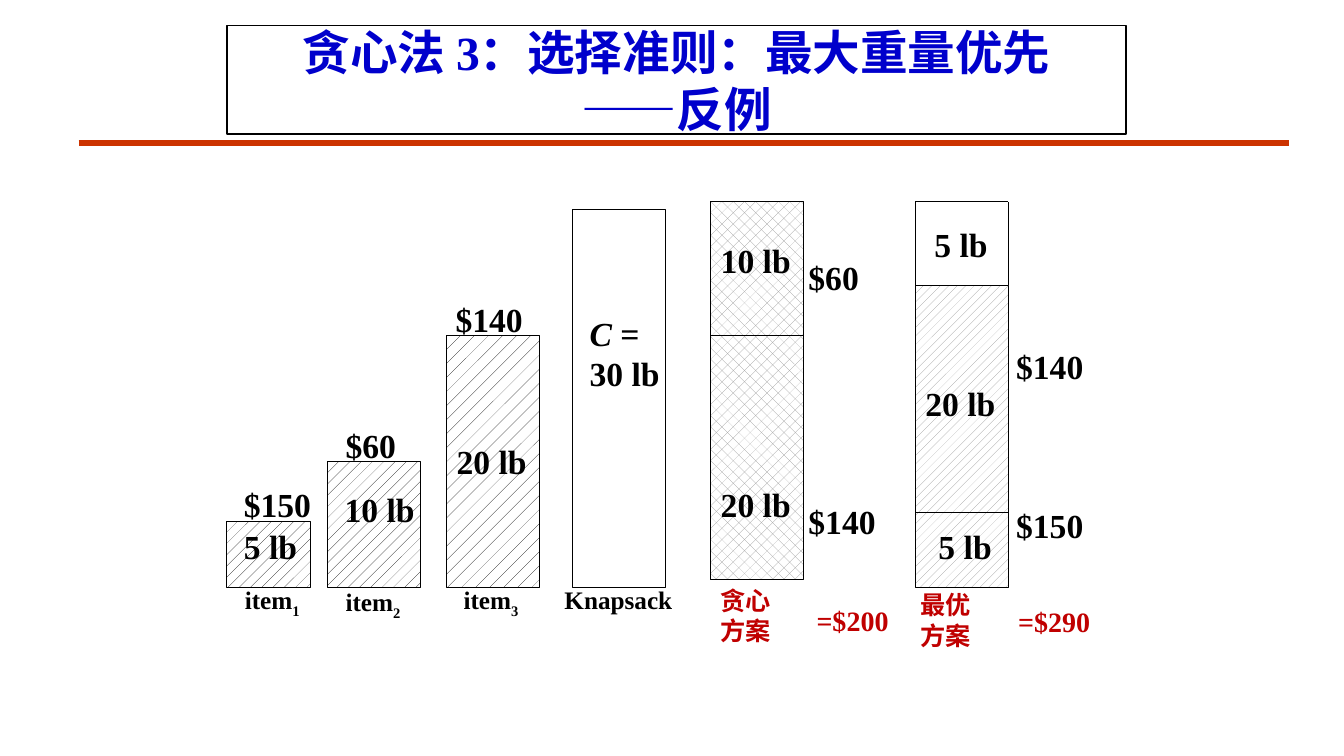
from dataclasses import dataclass
from typing import Optional

from lxml import etree
from pptx import Presentation
from pptx import util as u
from pptx.dml.color import RGBColor
from pptx.enum import dml, shapes, text
from pptx.oxml import ns


@dataclass(frozen=True)
class Theme:
    font: str = "Times New Roman"
    black: str = "000000"
    white: str = "FFFFFF"
    gray: str = "969696"
    title_blue: str = "0000CC"
    rule_red: str = "CC3300"
    result_red: str = "C00000"
    title_size: float = 34
    value_size: float = 24
    total_size: float = 20
    caption_size: float = 18
    thin: float = 0.75
    title_line: float = 1
    thick: float = 4.5


THEME = Theme()
BAR_WIDTH = 0.92
FLOOR = 5.83
GREEDY_X, OPTIMAL_X = 7.05, 9.08
OPTIMAL_TOP, OPTIMAL_FILL_TOP = 2, 2.83
PATTERN = dml.MSO_PATTERN


@dataclass(frozen=True)
class Bar:
    left: float
    top: float
    pattern: Optional[dml.MSO_PATTERN_TYPE] = None
    ink: str = THEME.black
    width: float = BAR_WIDTH
    floor: float = FLOOR


@dataclass(frozen=True)
class Rule:
    start: tuple[float, float]
    end: tuple[float, float]
    color: str = THEME.black
    weight: float = THEME.thin


@dataclass(frozen=True)
class Run:
    text: str
    format: Optional[dict[str, bool]] = None
    baseline: int = 0


@dataclass(frozen=True)
class Label:
    left: float
    top: float
    width: float
    lines: list[list[Run]]
    size: float = THEME.value_size
    color: str = THEME.black
    height: float = 0.5


def value(left: float, top: float, words: str) -> Label:
    """A weight or a price, boxed to the width of its words."""
    widths = {3: 0.7, 4: 0.87, 5: 0.9}
    width = 0.73 if words == "5 lb" else widths[len(words)]
    return Label(left, top, width, [[Run(words)]])


def item(left: float, top: float, number: int) -> Label:
    return Label(left, top, 0.76, [[Run("item"), Run(str(number), baseline=-25)]],
                 THEME.caption_size, height=0.4)


def plan(left: float, top: float, kind: str) -> Label:
    return Label(left, top, 0.71, [[Run(kind)], [Run("方案")]],
                 THEME.caption_size, THEME.result_red, 0.71)


def total(left: float, top: float, words: str) -> Label:
    return Label(left, top, 0.92, [[Run(words)]],
                 THEME.total_size, THEME.result_red, 0.44)


BARS = [
    Bar(2.25, 5.17, PATTERN.PERCENT_10, width=0.83),
    Bar(3.25, 4.58, PATTERN.PERCENT_10),
    Bar(4.43, 3.33, PATTERN.PERCENT_5),
    Bar(5.68, 2.08),
    Bar(GREEDY_X, 2, PATTERN.PERCENT_25, THEME.gray, floor=5.75),
    Bar(OPTIMAL_X, OPTIMAL_FILL_TOP, PATTERN.PERCENT_20, THEME.gray),
]

DIVIDERS = [
    Rule((left, y), (left + BAR_WIDTH, y))
    for left, y in [(GREEDY_X, 3.33), (OPTIMAL_X, 5.08), (OPTIMAL_X, OPTIMAL_TOP)]
]
SPARE_SIDES = [
    Rule((x, OPTIMAL_FILL_TOP), (x, OPTIMAL_TOP))
    for x in (OPTIMAL_X, OPTIMAL_X + BAR_WIDTH)
]
TITLE_RULE = Rule((0.78, 1.42), (12.78, 1.42), THEME.rule_red, THEME.thick)

LABELS = [
    value(2.32, 5.17, "5 lb"),
    value(2.32, 4.75, "$150"),
    value(3.32, 4.8, "10 lb"),
    value(3.33, 4.17, "$60"),
    value(4.43, 4.33, "20 lb"),
    value(4.42, 2.92, "$140"),
    Label(5.75, 3.05, 0.9, [[Run("C", {"italic": True}), Run(" =")], [Run("30 lb")]],
          height=0.91),
    item(2.33, 5.75, 1),
    item(3.33, 5.77, 2),
    item(4.5, 5.75, 3),
    Label(5.5, 5.75, 1.28, [[Run("Knapsack")]], THEME.caption_size, height=0.4),
    value(7.05, 2.33, "10 lb"),
    value(7.05, 4.75, "20 lb"),
    value(7.92, 2.5, "$60"),
    value(7.92, 4.92, "$140"),
    plan(7.05, 5.76, "贪心"),
    total(8, 5.94, "=$200"),
    value(9.17, 2.17, "5 lb"),
    value(9.08, 3.75, "20 lb"),
    value(9.21, 5.17, "5 lb"),
    value(9.98, 3.38, "$140"),
    value(9.98, 4.96, "$150"),
    plan(9.03, 5.8, "最优"),
    total(10, 5.95, "=$290"),
]


def rgb(color: str) -> RGBColor:
    return RGBColor.from_string(color)


def style_font(font, size: float, color: str, **extra: bool) -> None:
    formats = {"name": THEME.font, "size": u.Pt(size), "bold": True, **extra}
    for name, setting in formats.items():
        setattr(font, name, setting)
    font.color.rgb = rgb(color)


def draw_box(slide, left: float, top: float, width: float, height: float, weight: float):
    """Add an unfilled rectangle with a black outline."""
    box = slide.shapes.add_shape(
        shapes.MSO_SHAPE.RECTANGLE, *map(u.Inches, (left, top, width, height)))
    box.shadow.inherit = False
    box.fill.background()
    box.line.color.rgb = rgb(THEME.black)
    box.line.width = u.Pt(weight)
    return box


def draw_bar(slide, bar: Bar) -> None:
    box = draw_box(slide, bar.left, bar.top, bar.width, bar.floor - bar.top, THEME.thin)
    if bar.pattern is not None:
        box.fill.patterned()
        box.fill.pattern = bar.pattern
        box.fill.fore_color.rgb = rgb(bar.ink)
        box.fill.back_color.rgb = rgb(THEME.white)


def draw_rule(slide, rule: Rule) -> None:
    line = slide.shapes.add_connector(
        shapes.MSO_CONNECTOR.STRAIGHT, *map(u.Inches, rule.start + rule.end))
    line.line.color.rgb = rgb(rule.color)
    line.line.width = u.Pt(rule.weight)
    etree.SubElement(line._element.spPr, ns.qn("a:effectLst"))


def draw_label(slide, label: Label) -> None:
    frame = slide.shapes.add_textbox(
        *map(u.Inches, (label.left, label.top, label.width, label.height))).text_frame
    frame.word_wrap = False
    frame.auto_size = text.MSO_AUTO_SIZE.SHAPE_TO_FIT_TEXT
    for index, line in enumerate(label.lines):
        paragraph = frame.add_paragraph() if index else frame.paragraphs[0]
        for part in line:
            run = paragraph.add_run()
            run.text = part.text
            style_font(run.font, label.size, label.color, **(part.format or {}))
            if part.baseline:
                run.font._element.set("baseline", str(part.baseline * 1000))


def draw_title(slide) -> None:
    frame = draw_box(slide, 2.25, 0.25, 8.92, 1.08, THEME.title_line).text_frame
    frame.word_wrap = True
    frame.vertical_anchor = text.MSO_ANCHOR.MIDDLE
    heading = frame.paragraphs[0]
    heading.alignment = text.PP_ALIGN.CENTER
    heading.text = "贪心法 3：选择准则：最大重量优先\v——反例"
    for run in heading.runs:
        style_font(run.font, THEME.title_size, THEME.title_blue)


def main() -> None:
    deck = Presentation()
    deck.slide_width, deck.slide_height = u.Inches(13.33), u.Inches(7.5)
    slide = deck.slides.add_slide(deck.slide_layouts[6])
    for bar in BARS:
        draw_bar(slide, bar)
    for rule in [TITLE_RULE, *DIVIDERS, *SPARE_SIDES]:
        draw_rule(slide, rule)
    for label in LABELS:
        draw_label(slide, label)
    draw_title(slide)
    deck.save("out.pptx")


if __name__ == "__main__":
    main()
